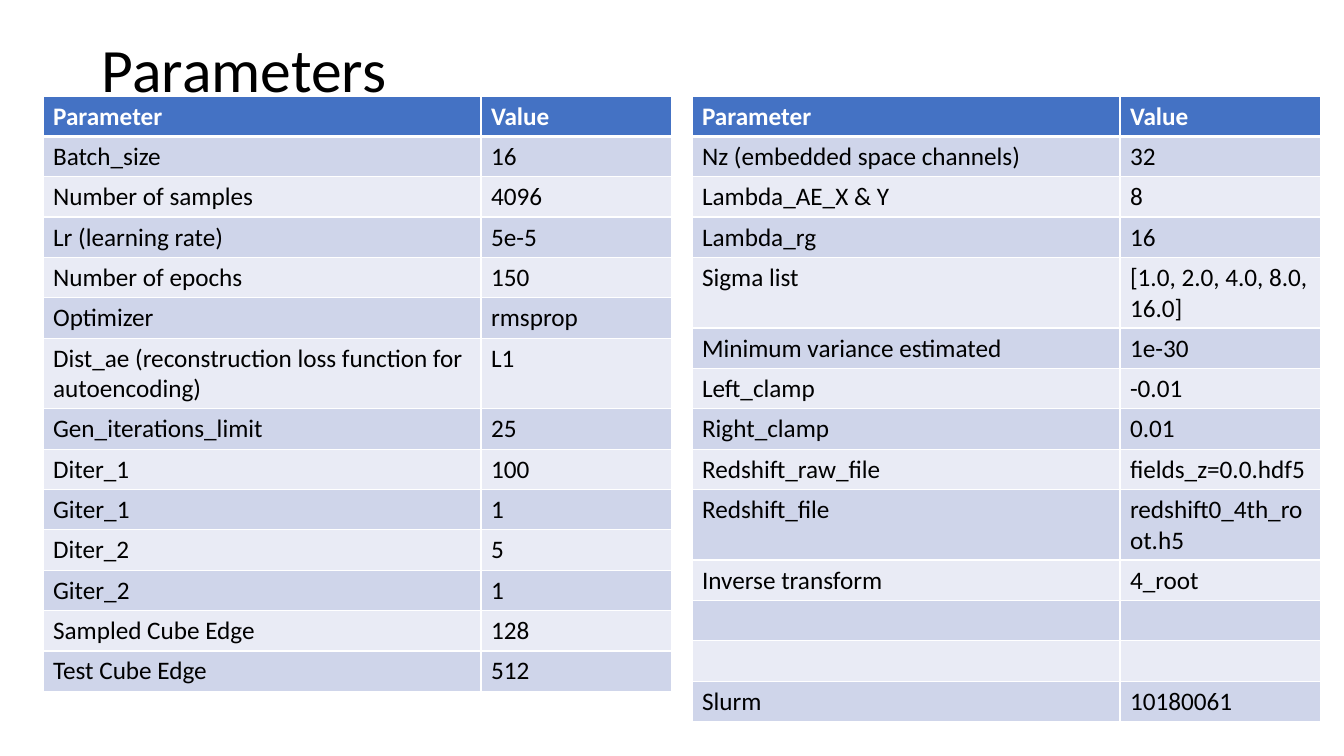
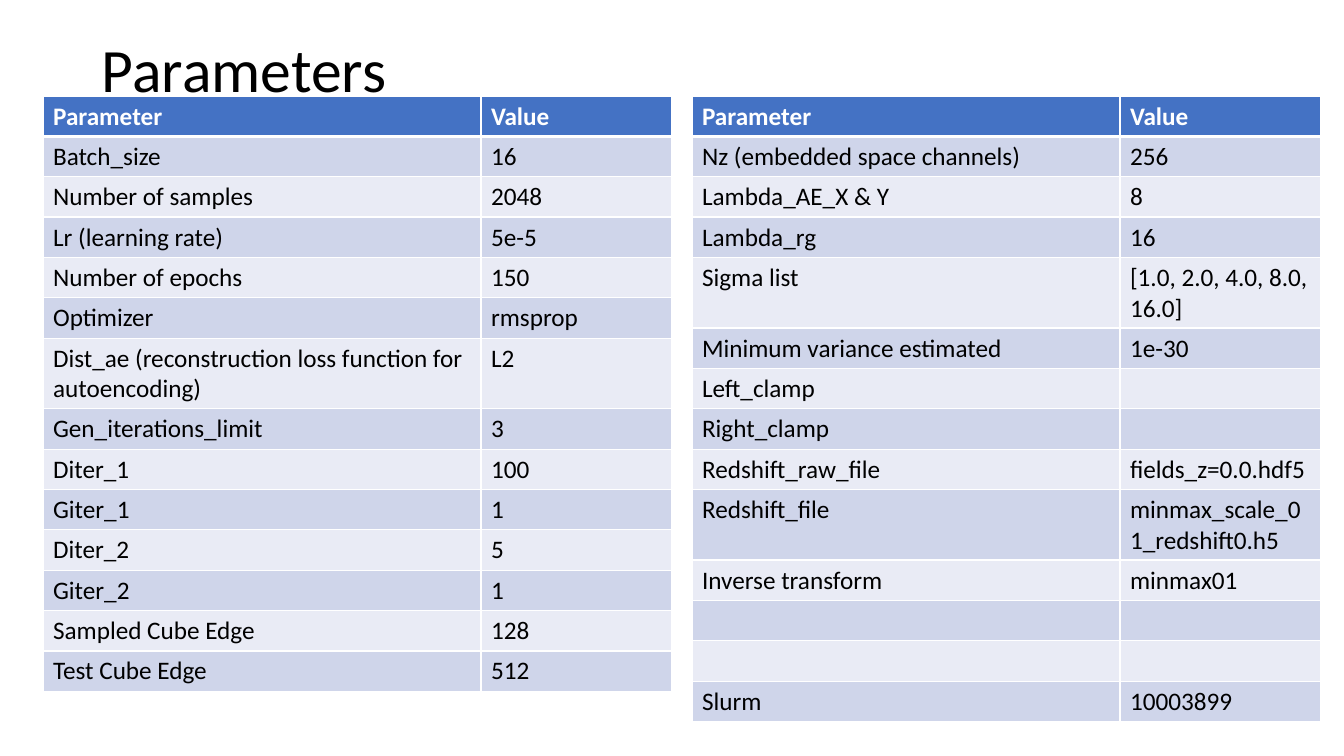
from lxml.etree import SubElement
from pptx import Presentation
from pptx.dml.color import RGBColor
from pptx.enum.text import MSO_ANCHOR
from pptx.oxml.ns import qn
from pptx.util import Emu, Pt

SCALE = 914400 / 100.8
FONT = "Calibri"
BLACK, WHITE, HEADER_BLUE = "000000", "FFFFFF", "4472C4"
BANDS = ["E9EBF5", "CFD5EA"]
TABLE_TOP, ROW_HEIGHT = 96, 34
HEADINGS = ("Parameter", "Value")

TRAINING = [
    "Batch_size", "Number of samples", "Lr (learning rate)", "Number of epochs",
    "Optimizer", "Dist_ae (reconstruction loss function for autoencoding)",
    "Gen_iterations_limit", "Diter_1", "Giter_1", "Diter_2", "Giter_2",
    "Sampled Cube Edge", "Test Cube Edge",
]
MODEL = [
    "Nz (embedded space channels)", "Lambda_AE_X & Y", "Lambda_rg", "Sigma list",
    "Minimum variance estimated", "Left_clamp", "Right_clamp", "Redshift_raw_file",
    "Redshift_file", "Inverse transform", "", "", "Slurm",
]
PANELS = [(43, (438, 191), TRAINING), (692, (428, 201), MODEL)]

COMMON = {
    "Batch_size": "16",
    "Lr (learning rate)": "5e-5",
    "Number of epochs": "150",
    "Optimizer": "rmsprop",
    "Diter_1": "100",
    "Giter_1": "1",
    "Diter_2": "5",
    "Giter_2": "1",
    "Sampled Cube Edge": "128",
    "Test Cube Edge": "512",
    "Lambda_AE_X & Y": "8",
    "Lambda_rg": "16",
    "Sigma list": "[1.0, 2.0, 4.0, 8.0, 16.0]",
    "Minimum variance estimated": "1e-30",
    "Redshift_raw_file": "fields_z=0.0.hdf5",
}
EXPERIMENTS = [
    {
        "Number of samples": "4096",
        "Dist_ae (reconstruction loss function for autoencoding)": "L1",
        "Gen_iterations_limit": "25",
        "Nz (embedded space channels)": "32",
        "Left_clamp": "-0.01",
        "Right_clamp": "0.01",
        "Redshift_file": "redshift0_4th_root.h5",
        "Inverse transform": "4_root",
        "Slurm": "10180061",
    },
    {
        "Number of samples": "2048",
        "Dist_ae (reconstruction loss function for autoencoding)": "L2",
        "Gen_iterations_limit": "3",
        "Nz (embedded space channels)": "256",
        "Redshift_file": "minmax_scale_01_redshift0.h5",
        "Inverse transform": "minmax01",
        "Slurm": "10003899",
    },
]


def px(length):
    return Emu(round(length * SCALE))


def style_text(paragraph, size, color, bold=False):
    font = paragraph.font
    font.name, font.size, font.bold = FONT, Pt(size), bold
    font.color.rgb = RGBColor.from_string(color)


prs = Presentation()
prs.slide_width, prs.slide_height = px(1344), px(756)

for experiment in EXPERIMENTS:
    values = COMMON | experiment
    slide = prs.slides.add_slide(prs.slide_layouts[6])

    title = slide.shapes.add_textbox(px(92), px(0), px(1159), px(146)).text_frame
    title.word_wrap = True
    title.vertical_anchor = MSO_ANCHOR.MIDDLE
    title.text = "Parameters"
    title.paragraphs[0].line_spacing = 0.9
    style_text(title.paragraphs[0], 44, BLACK)

    for left, widths, names in PANELS:
        rows = [HEADINGS] + [(name, values.get(name, "")) for name in names]
        table = slide.shapes.add_table(
            len(rows), len(widths), px(left), px(TABLE_TOP),
            px(sum(widths)), px(ROW_HEIGHT * len(rows))).table
        for column, width in zip(table.columns, widths):
            column.width = px(width)

        for r, row in enumerate(rows):
            table.rows[r].height = px(ROW_HEIGHT)
            heading = r == 0
            for c, text in enumerate(row):
                cell = table.cell(r, c)
                cell.text = text
                style_text(cell.text_frame.paragraphs[0], 18,
                           WHITE if heading else BLACK, heading)

                properties = cell._tc.get_or_add_tcPr()
                edges = {"lnL": 1, "lnR": 1, "lnT": 3 if r == 1 else 1,
                         "lnB": 3 if heading else 1}
                for edge, points in edges.items():
                    border = SubElement(properties, qn(f"a:{edge}"), w=str(Pt(points)))
                    SubElement(SubElement(border, qn("a:solidFill")),
                               qn("a:srgbClr"), val=WHITE)

                cell.fill.solid()
                cell.fill.fore_color.rgb = RGBColor.from_string(
                    HEADER_BLUE if heading else BANDS[r % 2])

prs.save("out.pptx")
